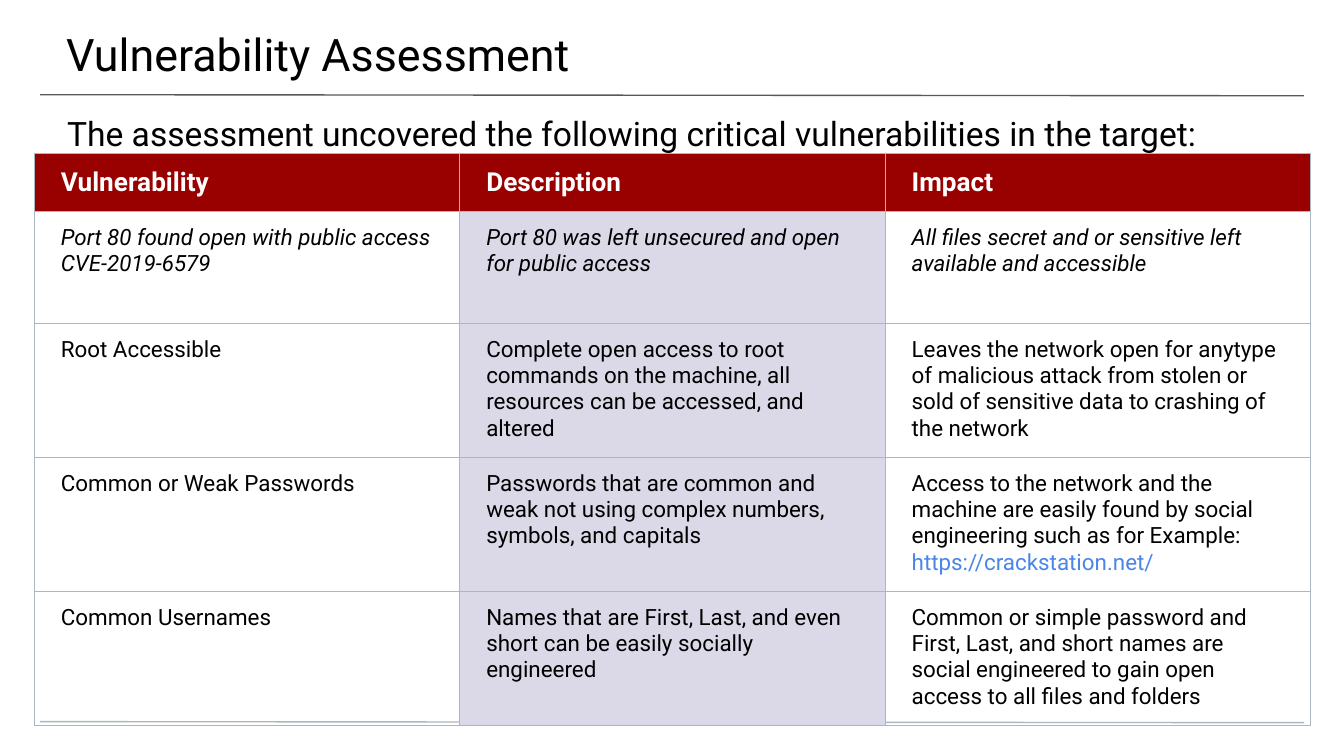
from lxml import etree
from pptx import Presentation
from pptx import util as u
from pptx.dml.color import RGBColor
from pptx.enum import shapes, text
from pptx.oxml.ns import qn

BLACK = RGBColor(0x00, 0x00, 0x00)
WHITE = RGBColor(0xFF, 0xFF, 0xFF)
DARK_RED = RGBColor(0x99, 0x00, 0x00)
LAVENDER = RGBColor(0xDB, 0xD9, 0xE8)
LINK_BLUE = RGBColor(0x4A, 0x86, 0xE8)
RULE_GREY = RGBColor(0x59, 0x59, 0x59)
BORDER_GREY = RGBColor(0xA9, 0xB7, 0xC0)

FONT = "Roboto"
SLIDE_W, SLIDE_H = 25.4, 14.29
HAIRLINE = u.Pt(0.75)

HEADINGS = ["Vulnerability", "Description", "Impact"]
LINK = "https://crackstation.net/"
FINDINGS = [
    ["Port 80 found open with public access CVE-2019-6579",
     "Port 80 was left unsecured and open for public access",
     "All files secret and or sensitive left available and accessible"],
    ["Root Accessible",
     "Complete open access to root commands on the machine, all resources "
     "can be accessed, and altered",
     "Leaves the network open for anytype of malicious attack from stolen or "
     "sold of sensitive data to crashing of the network"],
    ["Common or Weak Passwords",
     "Passwords that are common and weak not using complex numbers, symbols, "
     "and capitals",
     "Access to the network and the machine are easily found by social "
     "engineering such as for Example: " + LINK],
    ["Common Usernames",
     "Names that are First, Last, and even short can be easily socially "
     "engineered",
     "Common or simple password and First, Last, and short names are social "
     "engineered to gain open access to all files and folders"],
]
ROW_HEIGHTS = [1.1, 2.11, 2.51, 2.51, 2.51]


def set_font(paragraph, size, color, bold=False, italic=False):
    font = paragraph.font
    font.name, font.size = FONT, u.Pt(size)
    font.bold, font.italic = bold, italic
    font.color.rgb = color


def set_margins(holder, left, top, right, bottom):
    holder.margin_left, holder.margin_top = u.Cm(left), u.Cm(top)
    holder.margin_right, holder.margin_bottom = u.Cm(right), u.Cm(bottom)


def add_rule(slide, left, top, width, color):
    """Nearly level line across the slide."""
    rule = slide.shapes.add_connector(
        shapes.MSO_CONNECTOR.STRAIGHT,
        u.Cm(left), u.Cm(top), u.Cm(left + width), u.Cm(top + 0.02))
    rule.line.color.rgb = color
    rule.line.width = HAIRLINE
    etree.SubElement(rule._element.spPr, qn("a:effectLst"))


def add_heading(slide, wording, size, box, margins):
    """One line of text in a box of left, top, width, height."""
    heading = slide.shapes.add_textbox(*map(u.Cm, box))
    frame = heading.text_frame
    frame.word_wrap = True
    frame.vertical_anchor = text.MSO_ANCHOR.TOP
    set_margins(frame, *margins)
    frame.text = wording
    set_font(frame.paragraphs[0], size, BLACK)


def add_borders(cell):
    properties = cell._tc.get_or_add_tcPr()
    for position, side in enumerate(("a:lnL", "a:lnR", "a:lnT", "a:lnB")):
        border = etree.Element(qn(side), w=str(HAIRLINE))
        fill = etree.SubElement(border, qn("a:solidFill"))
        etree.SubElement(fill, qn("a:srgbClr"), val=str(BORDER_GREY))
        properties.insert(position, border)


def add_findings(slide, left, top, width):
    """Table with a red header row and a tinted description column."""
    rows = [HEADINGS] + FINDINGS
    findings = slide.shapes.add_table(
        len(rows), len(HEADINGS), u.Cm(left), u.Cm(top),
        u.Cm(width), u.Cm(sum(ROW_HEIGHTS))).table
    for column in findings.columns:
        column.width = u.Cm(width / len(HEADINGS))

    for r, wordings in enumerate(rows):
        findings.rows[r].height = u.Cm(ROW_HEIGHTS[r])
        for c, wording in enumerate(wordings):
            cell = findings.cell(r, c)
            set_margins(cell, 0.5, 0.25, 0.5, 0.25)
            paragraph = cell.text_frame.paragraphs[0]
            # The web address stands in its own colour
            before, link, _ = wording.partition(LINK)
            paragraph.add_run().text = before
            if link:
                link_run = paragraph.add_run()
                link_run.text = link
                link_run.font.color.rgb = LINK_BLUE

            if r == 0:
                cell.vertical_anchor = text.MSO_ANCHOR.MIDDLE
                set_font(paragraph, 14, WHITE, bold=True)
            else:
                cell.vertical_anchor = text.MSO_ANCHOR.TOP
                set_font(paragraph, 12, BLACK, italic=r == 1)

            if r == 0 or c == 1:
                cell.fill.solid()
                cell.fill.fore_color.rgb = DARK_RED if r == 0 else LAVENDER
            else:
                cell.fill.background()
            add_borders(cell)


def build_assessment(slide):
    # Rules under the title and at the foot
    add_rule(slide, 0.76, 1.79, SLIDE_W - 1.52, RULE_GREY)
    add_rule(slide, 0.76, 13.64, SLIDE_W - 1.52, BORDER_GREY)
    # Title and lead-in
    add_heading(slide, "Vulnerability Assessment", 24,
                (-0.02, 0, SLIDE_W + 0.07, 1.48), (1.27, 0.5, 0.76, 0.25))
    add_heading(slide, "The assessment uncovered the following critical "
                "vulnerabilities in the target:", 18,
                (0, 1.88, SLIDE_W, 1.02), (1.27, 0.25, 1.27, 0))
    # Findings
    add_findings(slide, 0.65, 2.9, 24.12)


def main():
    deck = Presentation()
    deck.slide_width, deck.slide_height = u.Cm(SLIDE_W), u.Cm(SLIDE_H)
    build_assessment(deck.slides.add_slide(deck.slide_layouts[6]))
    deck.save("out.pptx")


if __name__ == "__main__":
    main()
